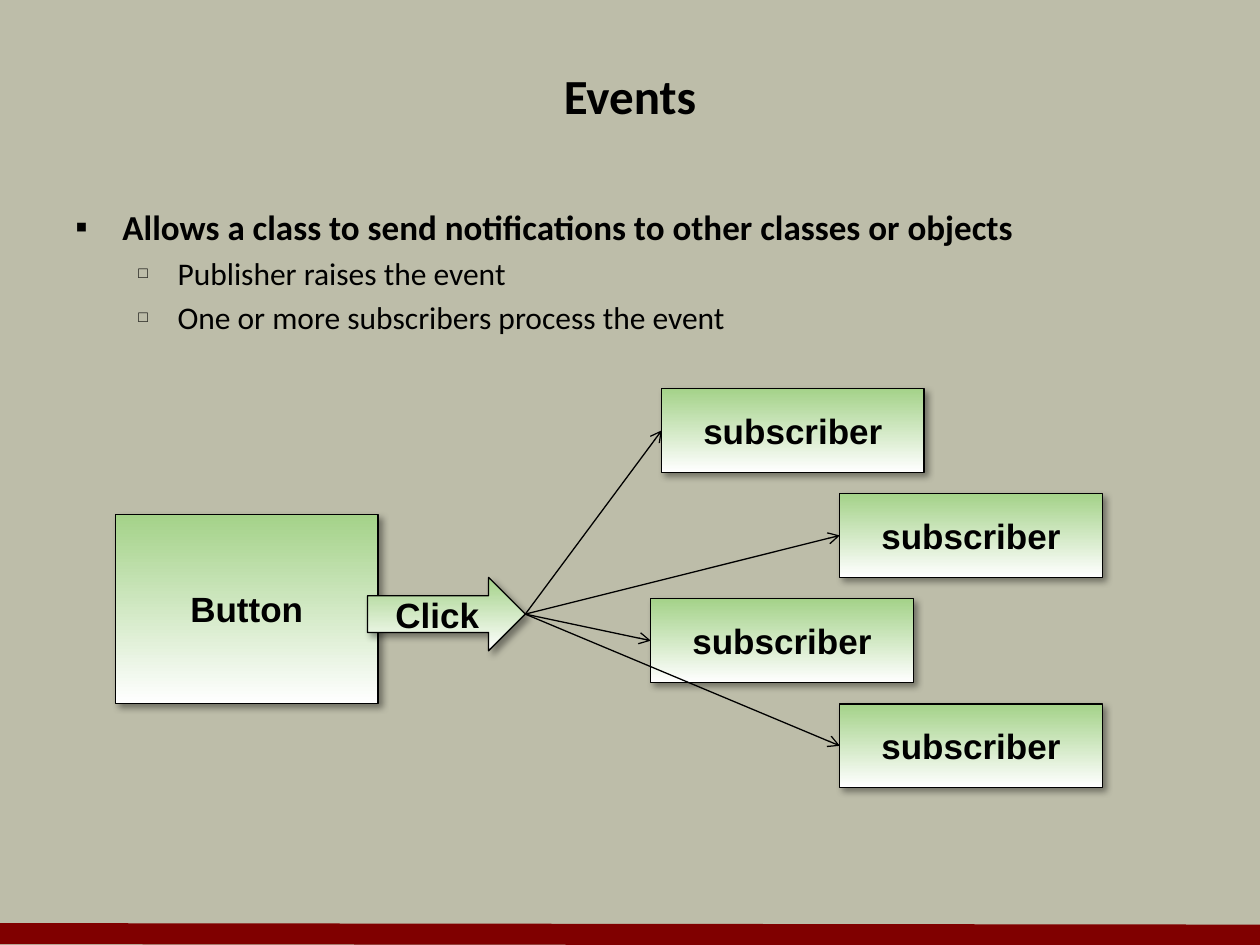
from lxml.etree import SubElement
from pptx import Presentation
from pptx.dml.color import RGBColor
from pptx.enum.shapes import MSO_CONNECTOR, MSO_SHAPE
from pptx.enum.text import MSO_ANCHOR, PP_ALIGN
from pptx.oxml.ns import qn
from pptx.util import Cm, Pt

COLORS = {"background": "BDBDA9", "footer": "800000", "ink": "000000",
          "green": "A4D289", "white": "FFFFFF"}

TITLE = "Events"
# text, level
POINTS = [
    ("Allows a class to send notifications to other classes or objects", 0),
    ("Publisher raises the event", 1),
    ("One or more subscribers process the event", 1),
]
# bullet, bullet size in %, text margin in cm, hanging indent in cm, font size, bold
LEVELS = [("▪", 100, 0.95, 0.95, 20, True), ("□", 50, 2.06, 0.79, 18, False)]

PUBLISHER, EVENT, SUBSCRIBER = "Button", "Click", "subscriber"
SUBSCRIBER_LEFTS = [13.34, 16.93, 13.12, 16.93]
SUBSCRIBER_TOP, SUBSCRIBER_PITCH = 7.83, 2.12
BOX_WIDTH, SUBSCRIBER_HEIGHT = 5.29, 1.69


def rgb(name):
    return RGBColor.from_string(COLORS[name])


def style_font(font, face, size, bold):
    font.name, font.size, font.bold = face, Pt(size), bold
    font.color.rgb = rgb("ink")


def add_text_area(slide, left, top, width, height):
    frame = slide.shapes.add_textbox(Cm(left), Cm(top), Cm(width), Cm(height)).text_frame
    frame.word_wrap = True
    return frame


def add_point(paragraph, text, level):
    bullet, bullet_percent, margin, hang, size, bold = LEVELS[level]
    paragraph.text = text
    paragraph.level = level
    properties = paragraph._p.get_or_add_pPr()
    properties.set("marL", str(Cm(margin)))
    properties.set("indent", str(-Cm(hang)))
    SubElement(properties, qn("a:buSzPct"), val=str(bullet_percent * 1000))
    SubElement(properties, qn("a:buFont"), typeface="Arial")
    SubElement(properties, qn("a:buChar"), char=bullet)
    style_font(paragraph.runs[0].font, "Calibri", size, bold)


def add_shadow(shape):
    shape.shadow.inherit = False
    effects = shape._element.spPr.find(qn("a:effectLst"))
    outer = SubElement(effects, qn("a:outerShdw"), blurRad=str(Pt(4)), dist=str(Pt(3)),
                       dir="2700000", algn="tl", rotWithShape="0")
    shade = SubElement(outer, qn("a:srgbClr"), val=COLORS["ink"])
    SubElement(shade, qn("a:alpha"), val="40000")


def add_node(slide, preset, label, left, top, width, height):
    """Add a labelled shape that fades from green to white, top to bottom."""
    node = slide.shapes.add_shape(preset, Cm(left), Cm(top), Cm(width), Cm(height))
    node.fill.gradient()
    node.fill.gradient_angle = 270
    for stop, color, position in zip(node.fill.gradient_stops, ("green", "white"), (0, 1)):
        stop.color.rgb = rgb(color)
        stop.position = position
    node.line.color.rgb = rgb("ink")
    node.line.width = Pt(0.75)
    add_shadow(node)
    frame = node.text_frame
    frame.text = label
    frame.word_wrap = False
    frame.vertical_anchor = MSO_ANCHOR.MIDDLE
    paragraph = frame.paragraphs[0]
    paragraph.alignment = PP_ALIGN.CENTER
    style_font(paragraph.runs[0].font, "Arial", 20, True)
    return node


def add_line(slide, color, width, start=(0, 0), end=(0, 0)):
    line = slide.shapes.add_connector(MSO_CONNECTOR.STRAIGHT, *map(Cm, start + end))
    line.line.color.rgb = rgb(color)
    line.line.width = Pt(width)
    SubElement(line._element.spPr, qn("a:effectLst"))
    return line


def main():
    presentation = Presentation()
    presentation.slide_width, presentation.slide_height = Cm(25.4), Cm(19.05)
    slide = presentation.slides.add_slide(presentation.slide_layouts[6])
    slide.background.fill.solid()
    slide.background.fill.fore_color.rgb = rgb("background")
    add_line(slide, "footer", 12, (0, 18.82), (25.4, 18.85))

    title = add_text_area(slide, 1.27, 0.85, 22.86, 2.12)
    title.text = TITLE
    title.vertical_anchor = MSO_ANCHOR.MIDDLE
    title.paragraphs[0].alignment = PP_ALIGN.CENTER
    style_font(title.paragraphs[0].runs[0].font, "Calibri", 28, True)

    body = add_text_area(slide, 1.27, 4.02, 22.86, 12.5)
    for number, (text, level) in enumerate(POINTS):
        paragraph = body.add_paragraph() if number else body.paragraphs[0]
        if number:
            paragraph.space_before = Pt(3.6)
        add_point(paragraph, text, level)

    add_node(slide, MSO_SHAPE.RECTANGLE, PUBLISHER, 2.33, 10.37, BOX_WIDTH, 3.81)
    subscribers = [
        add_node(slide, MSO_SHAPE.RECTANGLE, SUBSCRIBER, left,
                 SUBSCRIBER_TOP + row * SUBSCRIBER_PITCH, BOX_WIDTH, SUBSCRIBER_HEIGHT)
        for row, left in enumerate(SUBSCRIBER_LEFTS)
    ]
    event = add_node(slide, MSO_SHAPE.RIGHT_ARROW, EVENT, 7.41, 11.64, 3.18, 1.48)

    for subscriber in subscribers:
        notification = add_line(slide, "ink", 0.75)
        notification.begin_connect(event, 3)
        notification.end_connect(subscriber, 1)
        SubElement(notification.line._get_or_add_ln(), qn("a:tailEnd"), type="arrow")

    presentation.save("out.pptx")


if __name__ == "__main__":
    main()
